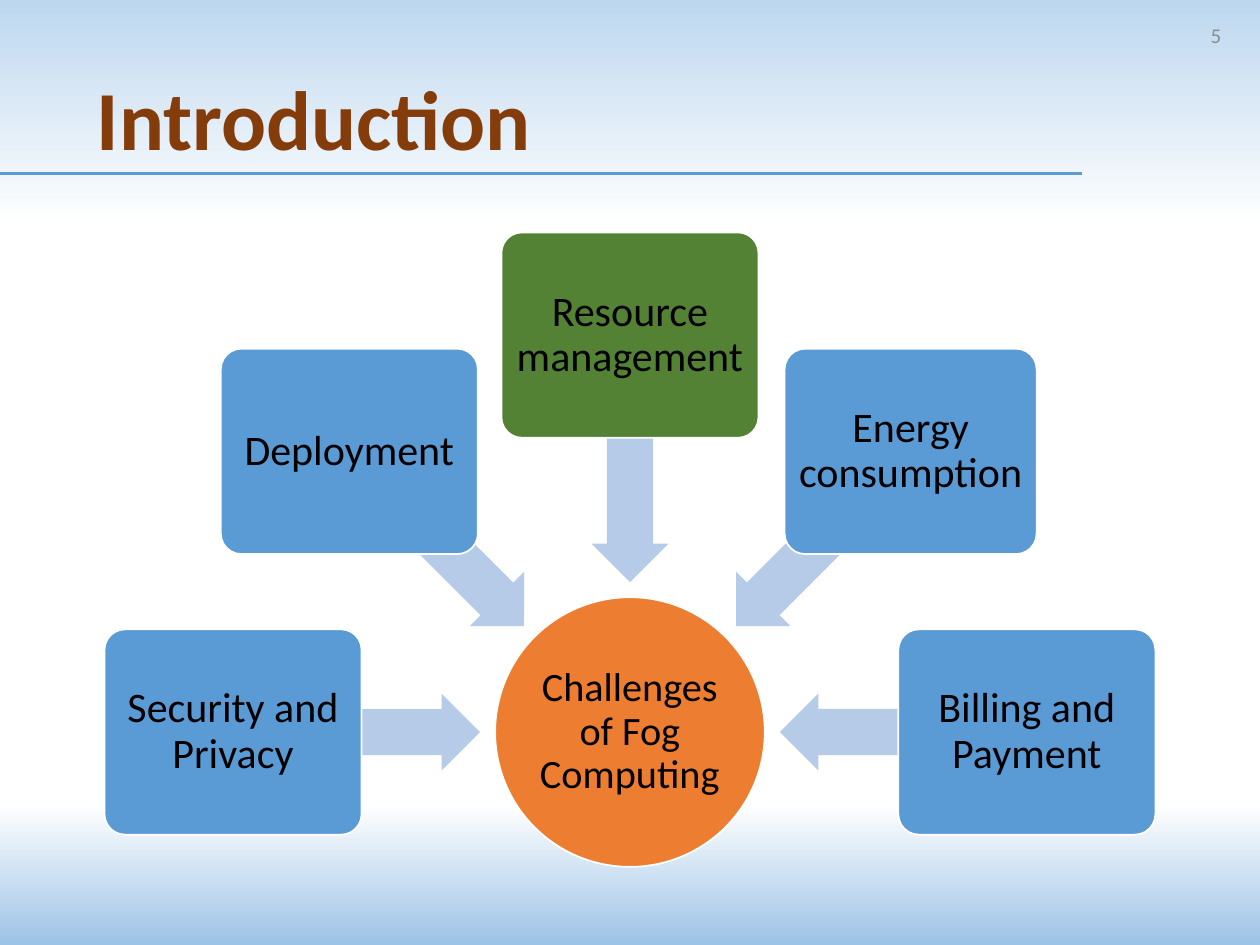
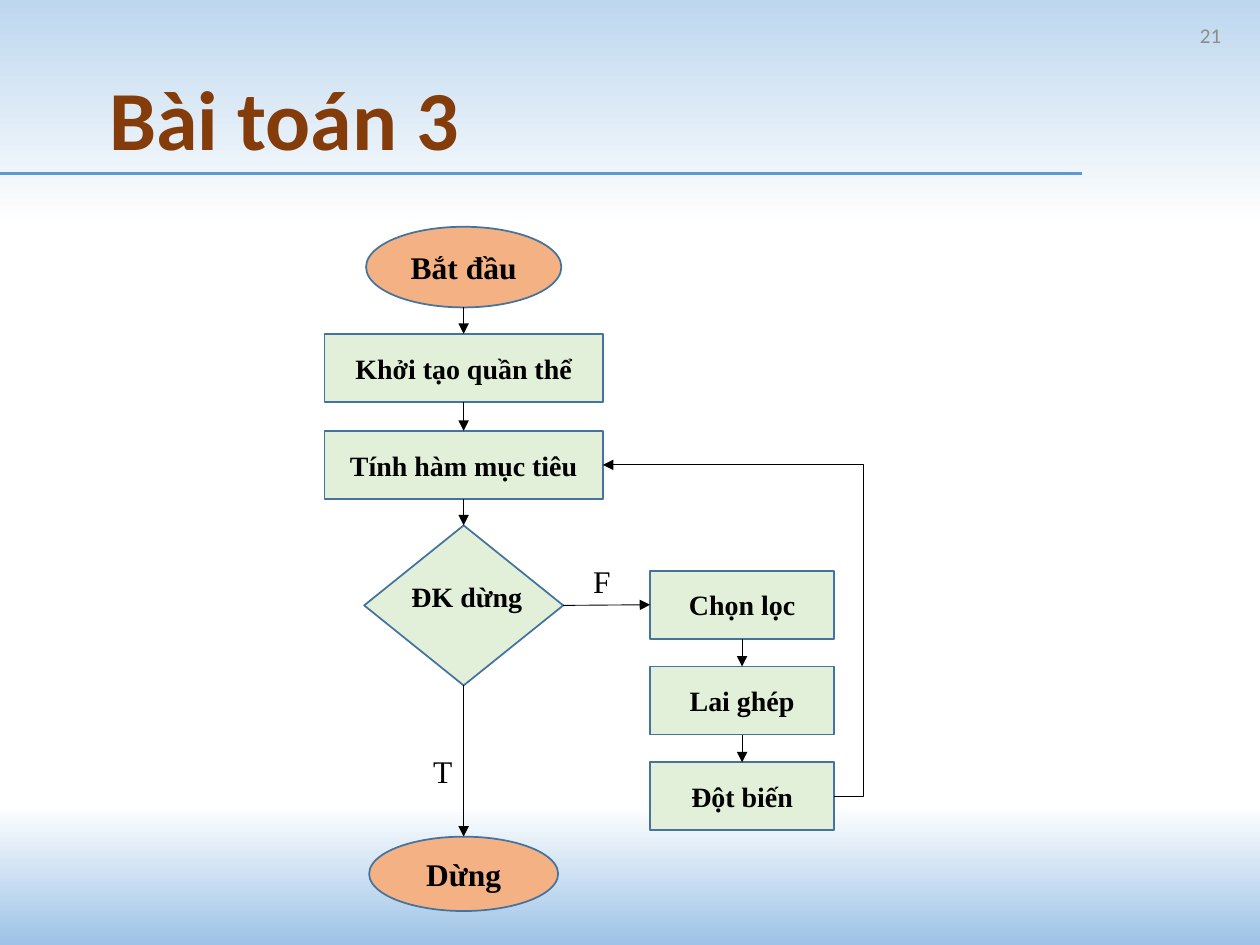
import math
from pptx import Presentation, util as u
from pptx.dml.color import RGBColor
from pptx.enum import shapes, text
from pptx.oxml import parse_xml
from pptx.oxml.ns import nsdecls, qn

hue = RGBColor.from_string
COLUMNS, ROWS = 100, 75
SANS, SERIF = "Calibri", "Times New Roman"
SKY, BROWN, GREY, BLACK, WHITE = "5B9BD5", "843C0B", "8C8C8C", "000000", "FFFFFF"
GREEN, ORANGE, PALE_BLUE = "548235", "ED7D31", "B5CBE7"
PEACH, MINT, STEEL = "F4B183", "E2F0D9", "43739E"
PRESET, LINK = shapes.MSO_SHAPE, shapes.MSO_CONNECTOR
CENTER, LEFT, RIGHT = text.PP_ALIGN.CENTER, text.PP_ALIGN.LEFT, text.PP_ALIGN.RIGHT

deck = Presentation()
deck.slide_width, deck.slide_height = u.Inches(10), u.Inches(7.5)
column, row = deck.slide_width / COLUMNS, deck.slide_height / ROWS

backdrop = deck.slide_master.background.fill
backdrop.gradient()
backdrop.gradient_angle = 270
stops = next(deck.slide_master.element.iter(qn("a:gsLst")))
for stop in list(stops):
    stops.remove(stop)
for share, shade in [(0, "BDD7EE"), (24, WHITE), (85, WHITE), (100, "9DC3E6")]:
    stops.append(parse_xml(f'<a:gs {nsdecls("a")} pos="{share * 1000}">'
                           f'<a:srgbClr val="{shade}"/></a:gs>'))


def block(slide, preset, left, top, width, height, words="", fill=None, edge=None, size=16,
          face=SERIF, color=BLACK, bold=False, align=CENTER, spacing=1.0, inset=None,
          anchor=text.MSO_ANCHOR.MIDDLE, wrap=True):
    place = [int(n) for n in (left * column, top * row, width * column, height * row)]
    if preset is None:
        part = slide.shapes.add_textbox(*place)
    else:
        part = slide.shapes.add_shape(preset, *place)
        part.shadow.inherit = False
        part.fill.solid()
        part.fill.fore_color.rgb = hue(fill)
        if edge:
            part.line.color.rgb = hue(edge)
            part.line.width = u.Pt(1)
        else:
            part.line.fill.background()
    if words:
        frame = part.text_frame
        frame.word_wrap, frame.vertical_anchor = wrap, anchor
        if inset is not None:
            frame.margin_left = frame.margin_right = u.Inches(inset)
            frame.margin_top = frame.margin_bottom = u.Inches(inset)
        paragraph = frame.paragraphs[0]
        paragraph.text, paragraph.alignment, paragraph.line_spacing = words, align, spacing
        font = paragraph.font
        font.name, font.size, font.bold, font.color.rgb = face, u.Pt(size), bold, hue(color)
    return part


def link(slide, kind, start, finish, color=BLACK, weight=0.5, head=True):
    (x1, y1), (x2, y2) = start, finish
    route = slide.shapes.add_connector(kind, int(x1 * column), int(y1 * row),
                                       int(x2 * column), int(y2 * row))
    route.line.color.rgb = hue(color)
    route.line.width = u.Pt(weight)
    if head:
        route.line._get_or_add_ln().append(
            parse_xml(f'<a:tailEnd {nsdecls("a")} type="triangle"/>'))
    route._element.spPr.append(parse_xml(f'<a:effectLst {nsdecls("a")}/>'))
    return route


pages = []
for heading, number, indent in [("Introduction", "5", 6.7), ("Bài toán 3", "21", 7.7)]:
    page = deck.slides.add_slide(deck.slide_layouts[6])
    link(page, LINK.STRAIGHT, (85.9, 13.8), (0, 13.8), SKY, 1.75, False)
    block(page, None, 75.4, 0.8, 22.5, 4, number, size=12, face=SANS, color=GREY, align=RIGHT)
    block(page, None, indent, 4.3, 83.1, 10.9, heading, size=48, face=SANS, color=BROWN,
          bold=True, align=LEFT, spacing=0.9)
    pages.append(page)
challenges, algorithm = pages

hub_x, hub_y, hub_size = 50, 58.1, 21.4
arrow_reach, topic_reach = 21.7, 31.5
arrow_w, arrow_h, topic_h = 19.6, 6.1, 16.3
block(challenges, PRESET.OVAL, hub_x - hub_size / 2, hub_y - hub_size / 2, hub_size, hub_size,
      "Challenges of Fog Computing", ORANGE, WHITE, 23, SANS, spacing=0.9, inset=0.02)
topics = [("Security and Privacy", SKY, 20.4), ("Deployment", SKY, 20.4),
          ("Resource management", GREEN, 20.4), ("Energy consumption", SKY, 20),
          ("Billing and Payment", SKY, 20.4)]
for turn, (topic, shade, topic_w) in enumerate(topics):
    angle = 180 + 45 * turn
    across, down = math.cos(math.radians(angle)), math.sin(math.radians(angle))
    arrow = block(challenges, PRESET.LEFT_ARROW, hub_x + arrow_reach * across - arrow_w / 2,
                  hub_y + arrow_reach * down - arrow_h / 2, arrow_w, arrow_h, fill=PALE_BLUE)
    arrow.adjustments[0], arrow.adjustments[1] = 0.6, 0.5
    arrow.rotation = angle % 360
    card = block(challenges, PRESET.ROUNDED_RECTANGLE, hub_x + topic_reach * across - topic_w / 2,
                 hub_y + topic_reach * down - topic_h / 2, topic_w, topic_h, topic, shade, WHITE,
                 24, SANS, spacing=0.9, inset=0.05)
    card.adjustments[0] = 0.1

spine, branch, step_h = 36.8, 58.9, 5.4
begin, finish = [
    block(algorithm, PRESET.OVAL, spine - width / 2, top, width, height, words, PEACH, STEEL,
          18, bold=True)
    for words, top, width, height in [("Bắt đầu", 18, 15.5, 6.4), ("Dừng", 66.4, 15, 5.9)]]
populate, evaluate, select, cross, mutate = [
    block(algorithm, PRESET.RECTANGLE, axis - width / 2, top, width, step_h, words, MINT, STEEL,
          bold=True)
    for words, axis, top, width in [
        ("Khởi tạo quần thể", spine, 26.5, 22.1), ("Tính hàm mục tiêu", spine, 34.2, 22.1),
        ("Chọn lọc", branch, 45.3, 14.6), ("Lai ghép", branch, 52.9, 14.6),
        ("Đột biến", branch, 60.5, 14.6)]]
decide = block(algorithm, PRESET.DIAMOND, spine - 7.9, 41.7, 15.8, 12.7, fill=MINT, edge=STEEL)
block(algorithm, None, 30, 45.5, 14.1, 3.7, "ĐK dừng", bold=True, anchor=text.MSO_ANCHOR.TOP)
for answer, left, top, width in [("F", 46.1, 44.1, 3.1), ("T", 33.4, 59.2, 3.3)]:
    block(algorithm, None, left, top, width, 3.7, answer, size=18, align=LEFT,
          anchor=text.MSO_ANCHOR.TOP, wrap=False)

link(algorithm, LINK.STRAIGHT, (spine, 24.4), (spine, 26.5)).end_connect(populate, 0)
for source, leave, target, enter in [
        (populate, 2, evaluate, 0), (evaluate, 2, decide, 0), (decide, 3, select, 1),
        (select, 2, cross, 0), (cross, 2, mutate, 0), (decide, 2, finish, 0)]:
    step = link(algorithm, LINK.STRAIGHT, (spine, 0), (spine, 0))
    step.begin_connect(source, leave)
    step.end_connect(target, enter)
loop = link(algorithm, LINK.ELBOW, (66.2, 63.2), (47.9, 36.9))
loop.begin_connect(mutate, 3)
loop.end_connect(evaluate, 3)
bend = loop._element.spPr.find(qn("a:prstGeom")).get_or_add_avLst()
bend.append(parse_xml(f'<a:gd {nsdecls("a")} name="adj1" fmla="val -12500"/>'))

deck.save("out.pptx")
